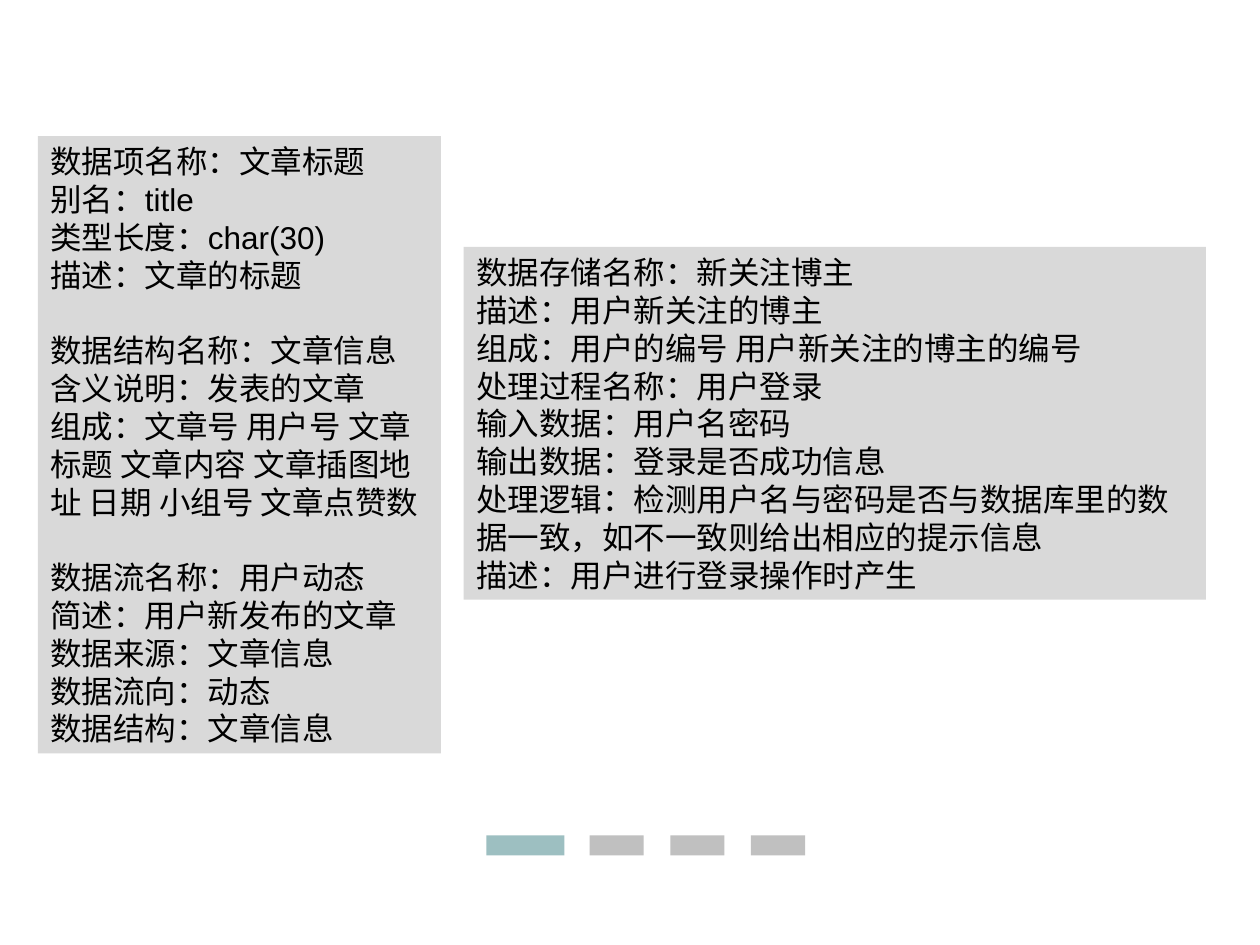
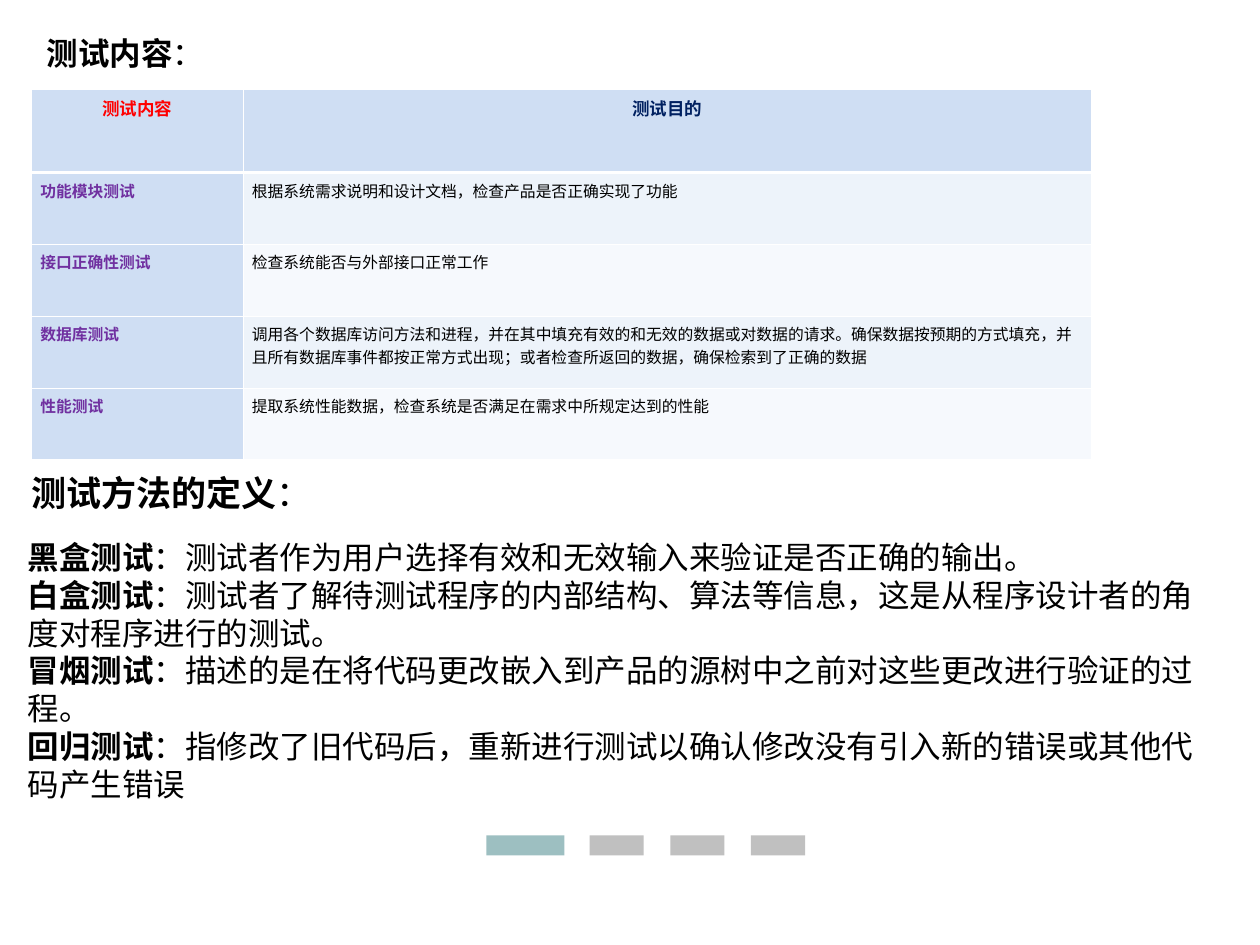
from lxml.etree import SubElement as Sub
from pptx import Presentation
from pptx.dml.color import RGBColor
from pptx.enum.shapes import MSO_SHAPE as Shape
from pptx.enum.text import MSO_ANCHOR as Anchor, MSO_AUTO_SIZE as Auto, PP_ALIGN as Align
from pptx.oxml.ns import qn
from pptx.util import Inches, Pt

COLS, ROWS = 100, 75
TITLE, DUO = 1, 3
LINE = 21.6


def rgb(text):
    return RGBColor.from_string(text)


def paint(item, tone):
    item.fill.solid()
    item.fill.fore_color.rgb = rgb(tone)


class Deck:
    face = "Arial"
    ink, panel, teal, gray = "000000", "D9D9D9", "9DBFC1", "C0C0C0"
    head, odd, even, white = "CFDEF3", "EDF3FA", "F6F9FD", "FFFFFF"
    red, navy, plum = "FF0000", "002060", "7030A0"

    def __init__(self):
        self.prs = Presentation()
        self.prs.slide_width, self.prs.slide_height = Inches(10), Inches(7.5)
        self.slide = None

    def page(self, layout):
        self.slide = self.prs.slides.add_slide(self.prs.slide_layouts[layout])
        self.bar(38.6, 6.2, self.teal)
        for i in range(3):
            self.bar(46.8 + 6.4 * i, 4.3, self.gray)

    def box(self, x, y, w, h):
        dx, dy = self.prs.slide_width / COLS, self.prs.slide_height / ROWS
        return [round(n) for n in (x * dx, y * dy, w * dx, h * dy)]

    def bar(self, x, w, tone):
        bar = self.slide.shapes.add_shape(Shape.RECTANGLE, *self.box(x, 66.3, w, 1.6))
        bar.shadow.inherit = False
        paint(bar, tone)
        bar.line.fill.background()

    def hold(self, idx, *grid):
        hold = self.slide.placeholders[idx]
        hold.left, hold.top, hold.width, hold.height = self.box(*grid)
        return hold

    def label(self, *grid):
        return self.slide.shapes.add_textbox(*self.box(*grid))

    def style(self, para, size, tone=None, bold=None, align=Align.LEFT):
        props = para._p.get_or_add_pPr()
        props.set("marL", "0")
        props.set("indent", "0")
        Sub(props, qn("a:buNone"))
        para.alignment = align
        para.space_before = Pt(0)
        font = para.font
        font.name, font.size, font.bold = self.face, Pt(size), bold
        font.color.rgb = rgb(tone or self.ink)

    def prose(self, item, groups, size=18):
        frame = item.text_frame
        frame.word_wrap = True
        frame.auto_size = Auto.NONE
        frame.vertical_anchor = Anchor.TOP
        para = None
        for group in groups:
            for i, line in enumerate(group):
                first = para is None
                para = frame.paragraphs[0] if first else frame.add_paragraph()
                self.style(para, size)
                para.line_spacing = Pt(LINE * size / 18)
                if i == 0 and not first:
                    para.space_before = Pt(LINE)
                if isinstance(line, str):
                    para.add_run().text = line
                else:
                    for text, bold in zip(line, (True, False)):
                        run = para.add_run()
                        run.text, run.font.bold = text, bold

    def edge(self, cell, top, foot):
        props = cell._tc.get_or_add_tcPr()
        for side, width in zip("LRTB", (0.45, 0.45, top, foot)):
            line = Sub(props, qn("a:ln" + side), w=str(int(Pt(width))))
            Sub(Sub(line, qn("a:solidFill")), qn("a:srgbClr"), val=self.white)

    def table(self, grid, wide, high, rows):
        table = self.slide.shapes.add_table(len(rows), len(wide), *self.box(*grid)).table
        table.first_row = table.horz_banding = False
        for col, width in zip(table.columns, wide):
            col.width = Inches(width)
        for r, row in enumerate(rows):
            table.rows[r].height = Inches(high[min(r, 1)])
            for c, text in enumerate(row):
                cell = table.cell(r, c)
                self.edge(cell, 1.47 if r == 1 else 0.45, 1.47 if r == 0 else 0.45)
                paint(cell, self.head if r == 0 or c == 0 else self.odd if r % 2 else self.even)
                cell.margin_left = cell.margin_right = Inches(0.07)
                para = cell.text_frame.paragraphs[0]
                para.add_run().text = text
                if r == 0:
                    self.style(para, 10, (self.red, self.navy)[c], True, Align.CENTER)
                else:
                    self.style(para, 9, (self.plum, self.ink)[c], c == 0)


def data(deck):
    deck.page(DUO)
    title = deck.slide.shapes.title
    title._element.getparent().remove(title._element)
    left = deck.hold(1, 3, 10.8, 32, 49)
    right = deck.hold(2, 36.8, 19.6, 58.9, 28)
    for item in (left, right):
        paint(item, deck.panel)
    deck.prose(left, [
        ["数据项名称：文章标题", "别名：title", "类型长度：char(30)", "描述：文章的标题"],
        ["数据结构名称：文章信息", "含义说明：发表的文章",
         "组成：文章号 用户号 文章标题 文章内容 文章插图地址 日期 小组号 文章点赞数"],
        ["数据流名称：用户动态", "简述：用户新发布的文章", "数据来源：文章信息",
         "数据流向：动态", "数据结构：文章信息"],
    ])
    deck.prose(right, [[
        "数据存储名称：新关注博主",
        "描述：用户新关注的博主",
        "组成：用户的编号 用户新关注的博主的编号",
        "处理过程名称：用户登录",
        "输入数据：用户名密码",
        "输出数据：登录是否成功信息",
        "处理逻辑：检测用户名与密码是否与数据库里的数据一致，如不一致则给出相应的提示信息",
        "描述：用户进行登录操作时产生",
    ]])


def tests(deck):
    deck.page(TITLE)
    deck.prose(deck.hold(0, 2.7, 2.2, 16, 4), [[("测试内容", "：")]])
    deck.table((2.5, 7.1, 84.1, 29.4), (1.68, 6.73), (0.66, 0.57), [
        ("测试内容", "测试目的"),
        ("功能模块测试", "根据系统需求说明和设计文档，检查产品是否正确实现了功能"),
        ("接口正确性测试", "检查系统能否与外部接口正常工作"),
        ("数据库测试", "调用各个数据库访问方法和进程，并在其中填充有效的和无效的数据或对数据的请求。"
         "确保数据按预期的方式填充，并且所有数据库事件都按正常方式出现；"
         "或者检查所返回的数据，确保检索到了正确的数据"),
        ("性能测试", "提取系统性能数据，检查系统是否满足在需求中所规定达到的性能"),
    ])
    deck.prose(deck.label(1.5, 36.9, 37.9, 4.4), [[("测试方法的定义", "：")]], 20)
    deck.prose(deck.hold(1, 1.2, 42.2, 95.3, 22), [[
        ("黑盒测试", "：测试者作为用户选择有效和无效输入来验证是否正确的输出。"),
        ("白盒测试", "：测试者了解待测试程序的内部结构、算法等信息，这是从程序设计者的角度对程序进行的测试。"),
        ("冒烟测试", "：描述的是在将代码更改嵌入到产品的源树中之前对这些更改进行验证的过程。"),
        ("回归测试", "：指修改了旧代码后，重新进行测试以确认修改没有引入新的错误或其他代码产生错误"),
    ]])


def main():
    deck = Deck()
    data(deck)
    tests(deck)
    deck.prs.save("out.pptx")


if __name__ == "__main__":
    main()
